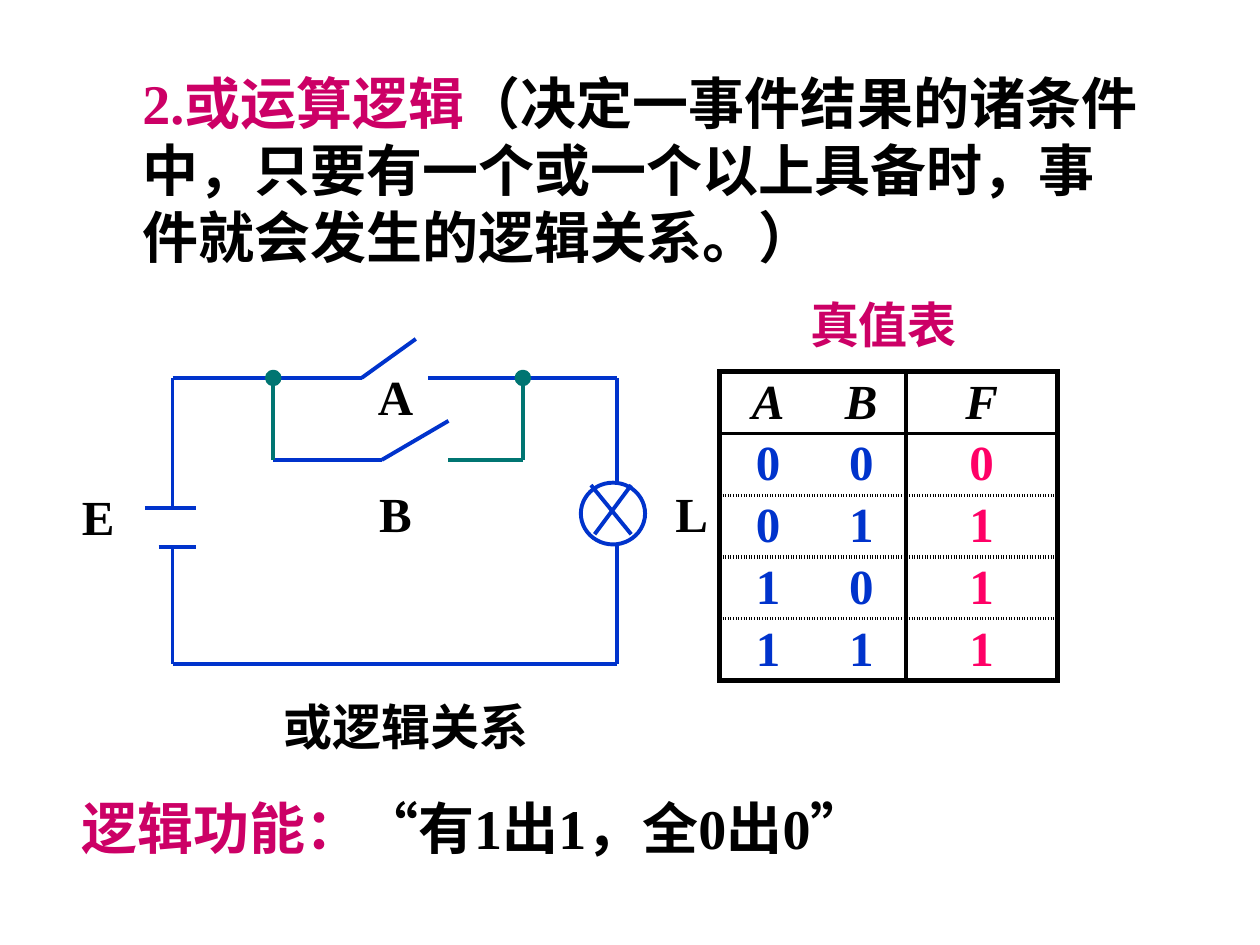
from lxml.etree import SubElement
from pptx import Presentation
from pptx.dml.color import RGBColor
from pptx.enum.shapes import MSO_CONNECTOR as Connector, MSO_SHAPE as Preset
from pptx.enum.text import MSO_ANCHOR as Anchor, MSO_AUTO_SIZE as AutoSize, PP_ALIGN as Align
from pptx.oxml import parse_xml
from pptx.oxml.ns import nsdecls, qn
from pptx.util import Pt

COLORS = {"black": "000000", "blue": "0033CC", "green": "007572",
          "magenta": "CC0066", "pink": "FF0066"}
FONT = "Times New Roman"
LINE_WIDTH = 2.25
FRAME_WIDTH = 3
LABEL_SIZE = 28
HEADING_SIZE = 32

LEFT, RIGHT, TOP, MIDDLE, BOTTOM = 98.6, 352.8, 216, 262.8, 379.4
NODE_LEFT, NODE_RIGHT = 156.2, 298.8
PLATE_TOP, PLATE_BOTTOM = 290.2, 312.5
LAMP = (331.9, 275.8, 36.7, 35.3)
WIRES = {
    "blue": [
        (LEFT, PLATE_TOP, LEFT, TOP),
        (LEFT, TOP, 206.6, TOP),
        (206.6, TOP, 237.6, 193.7),
        (NODE_LEFT, MIDDLE, 218.2, MIDDLE),
        (218.2, MIDDLE, 256.3, 240.5),
        (244.8, TOP, RIGHT, TOP),
        (RIGHT, TOP, RIGHT, 275.8),
        (LEFT, PLATE_BOTTOM, LEFT, BOTTOM),
        (LEFT, BOTTOM, RIGHT, BOTTOM),
        (RIGHT, 311, RIGHT, BOTTOM),
        (82.8, PLATE_TOP, 112.3, PLATE_TOP),
        (90.7, PLATE_BOTTOM, 112.3, PLATE_BOTTOM),
        (360.7, 277.2, 339.8, 305.3),
        (337.7, 277.2, 360.7, 305.3),
    ],
    "green": [
        (256.3, MIDDLE, NODE_RIGHT, MIDDLE),
        (NODE_RIGHT, MIDDLE, NODE_RIGHT, TOP),
        (NODE_LEFT, MIDDLE, NODE_LEFT, TOP),
    ],
}
LABELS = [("A", 206.6, 208.8), ("B", 206.6, 275.8), ("E", 36.7, 277.2), ("L", 375.8, 275.8)]
TRUTH_TABLE = ["ABF", "000", "011", "101", "111"]
COLUMN_WIDTHS = [55.5, 51, 86.5]
ROW_HEIGHT = 35.3
ROW_EDGES = [(FRAME_WIDTH, "solid"), (LINE_WIDTH, "solid"), *[(LINE_WIDTH, "sysDot")] * 3,
             (FRAME_WIDTH, "solid")]
COLUMN_EDGES = [(FRAME_WIDTH, "solid"), None, (LINE_WIDTH, "solid"), (FRAME_WIDTH, "solid")]


def color(name):
    """Return the named colour."""
    return RGBColor.from_string(COLORS[name])


def write_paragraph(frame, runs, size, align=Align.LEFT):
    """Fill a text frame with one bold paragraph of (text, colour) runs."""
    paragraph = frame.paragraphs[0]
    paragraph.alignment = align
    paragraph.space_before = Pt(0)
    paragraph.font.name = FONT
    paragraph.font.size = Pt(size)
    paragraph.font.bold = True
    for text, name in runs:
        run = paragraph.add_run()
        run.text = text
        run.font.color.rgb = color(name)
    return paragraph


def format_frame(frame, margin_x, margin_y):
    """Set wrapping, anchor and margins of a text frame."""
    frame.word_wrap = True
    frame.auto_size = AutoSize.SHAPE_TO_FIT_TEXT
    frame.vertical_anchor = Anchor.TOP
    frame.margin_left = frame.margin_right = Pt(margin_x)
    frame.margin_top = frame.margin_bottom = Pt(margin_y)


def add_title(slide, box, runs):
    """Move the title placeholder and write the heading in it."""
    title = slide.shapes.title
    title.left, title.top, title.width, title.height = map(Pt, box)
    format_frame(title.text_frame, 7.2, 3.6)
    write_paragraph(title.text_frame, runs, HEADING_SIZE)


def add_text(shapes, box, runs, size):
    """Add a left-aligned text box."""
    frame = shapes.add_textbox(*map(Pt, box)).text_frame
    format_frame(frame, 7.2, 3.6)
    write_paragraph(frame, runs, size)


def add_label(shapes, text, left, top, width=38.9):
    """Add a centred black label with narrow margins."""
    frame = shapes.add_textbox(*map(Pt, (left, top, width, 35.3))).text_frame
    format_frame(frame, 1.44, 0.72)
    write_paragraph(frame, [(text, "black")], LABEL_SIZE, Align.CENTER)


def add_wire(shapes, ends, name):
    """Add a straight wire without a shadow."""
    wire = shapes.add_connector(Connector.STRAIGHT, *map(Pt, ends))
    wire.line.color.rgb = color(name)
    wire.line.width = Pt(LINE_WIDTH)
    SubElement(wire.element.spPr, qn("a:effectLst"))


def add_ellipse(shapes, box, name, filled=False):
    """Add an outlined ellipse, filled on request."""
    ellipse = shapes.add_shape(Preset.OVAL, *map(Pt, box))
    ellipse.shadow.inherit = False
    ellipse.line.color.rgb = color(name)
    ellipse.line.width = Pt(LINE_WIDTH)
    if filled:
        ellipse.fill.solid()
        ellipse.fill.fore_color.rgb = color(name)
    else:
        ellipse.fill.background()


def add_circuit(slide):
    """Draw the circuit with two parallel switches and a lamp."""
    shapes = slide.shapes.add_group_shape().shapes
    for name, wires in WIRES.items():
        for ends in wires:
            add_wire(shapes, ends, name)
    add_ellipse(shapes, LAMP, "blue")
    for x in (NODE_LEFT, NODE_RIGHT):
        add_ellipse(shapes, (x - 3.6, TOP - 3.6, 7.2, 7.2), "green", filled=True)
    for label in LABELS:
        add_label(shapes, *label)


def set_borders(cell, edges):
    """Set the left, right, top and bottom borders of a cell."""
    properties = cell._tc.get_or_add_tcPr()
    for index, (side, edge) in enumerate(zip("LRTB", edges)):
        if edge:
            width, dash = edge
            content = (f'<a:solidFill><a:srgbClr val="{COLORS["black"]}"/></a:solidFill>'
                       f'<a:prstDash val="{dash}"/>')
        else:
            width, content = 0, "<a:noFill/>"
        border = f'<a:ln{side} {nsdecls("a")} w="{Pt(width)}">{content}</a:ln{side}>'
        properties.insert(index, parse_xml(border))


def add_truth_table(slide):
    """Add the truth table of the OR operation."""
    table = slide.shapes.add_table(
        len(TRUTH_TABLE), len(COLUMN_WIDTHS), Pt(411.2), Pt(212.4),
        Pt(sum(COLUMN_WIDTHS)), Pt(ROW_HEIGHT * len(TRUTH_TABLE))).table
    table.first_row = table.horz_banding = False
    for column, width in zip(table.columns, COLUMN_WIDTHS):
        column.width = Pt(width)
    for row, values in enumerate(TRUTH_TABLE):
        table.rows[row].height = Pt(ROW_HEIGHT)
        for column, value in enumerate(values):
            cell = table.cell(row, column)
            cell.fill.background()
            cell.vertical_anchor = Anchor.MIDDLE
            cell.margin_left = cell.margin_right = cell.margin_top = cell.margin_bottom = 0
            name = "black" if row == 0 else ("blue", "blue", "pink")[column]
            paragraph = write_paragraph(cell.text_frame, [(value, name)], LABEL_SIZE, Align.CENTER)
            paragraph.font.italic = row == 0
            set_borders(cell, COLUMN_EDGES[column:column + 2] + ROW_EDGES[row:row + 2])


def main():
    """Build the slide on OR logic and save it."""
    presentation = Presentation()
    presentation.slide_width, presentation.slide_height = Pt(720), Pt(540)
    slide = presentation.slides.add_slide(presentation.slide_layouts[5])
    add_title(slide, (74.2, 35.3, 583.9, 122.4), [
        ("2.或运算逻辑", "magenta"),
        ("（决定一事件结果的诸条件中，只要有一个或一个以上具备时，事件就会发生的逻辑关系。）", "black")])
    add_circuit(slide)
    add_label(slide.shapes, "或逻辑关系", 82.1, 397.4, 300.2)
    add_text(slide.shapes, (455.8, 164.9, 103, 41), [("真值表", "magenta")], LABEL_SIZE)
    add_truth_table(slide)
    add_text(slide.shapes, (39.6, 450, 563.8, 46.1),
             [("逻辑功能：", "magenta"), ("“有1出1，全0出0”", "black")], HEADING_SIZE)
    presentation.save("out.pptx")


if __name__ == "__main__":
    main()
